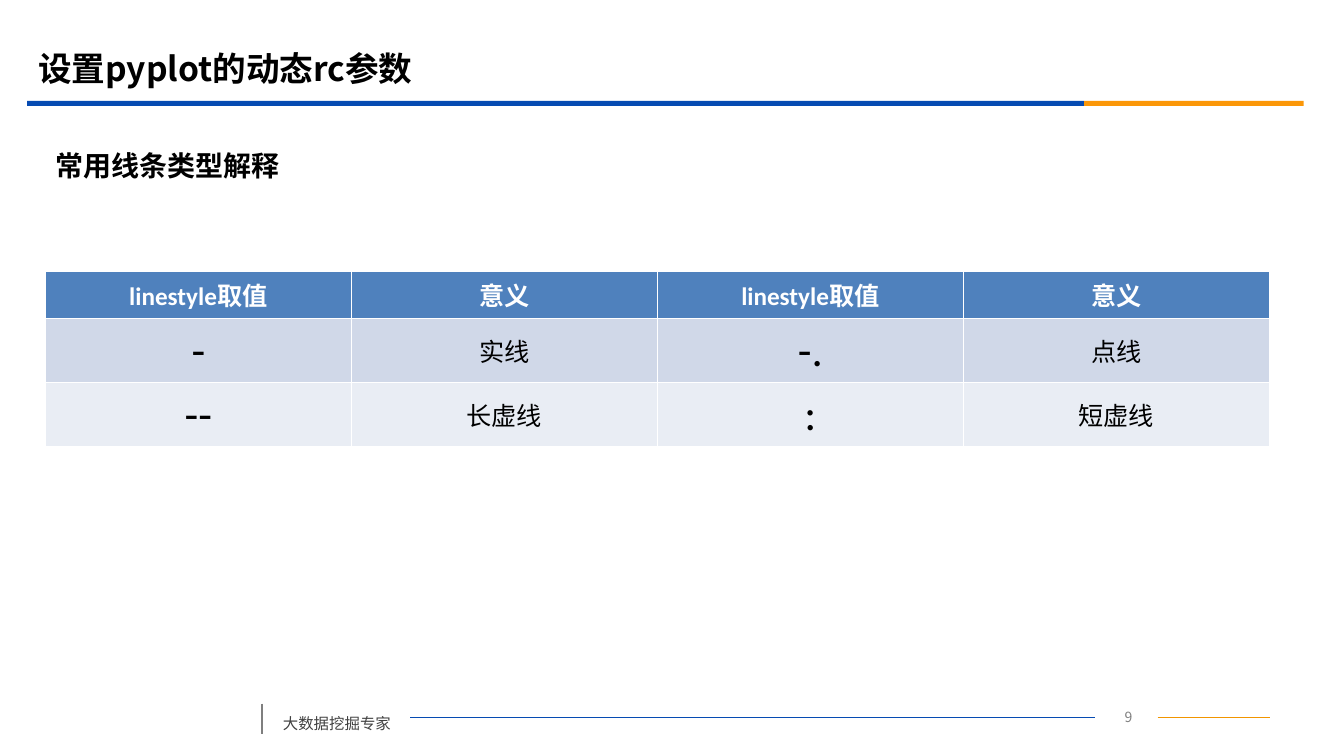
from lxml import etree
from pptx import Presentation
from pptx.dml.color import RGBColor as RGB
from pptx.enum.shapes import MSO_CONNECTOR as CONNECTOR, MSO_SHAPE as SHAPE
from pptx.enum.text import MSO_ANCHOR as ANCHOR, PP_ALIGN as ALIGN
from pptx.oxml.ns import qn
from pptx.util import Inches, Pt

COLORS = {
    "black": "000000", "white": "FFFFFF", "blue": "064BB2", "orange": "FB9708",
    "thin_orange": "F19500", "gray": "7F7F7F", "dark_gray": "404040",
    "header": "4F81BD", "band": "D0D8E8", "light_band": "E9EDF4",
}
CJK, LATIN = "Noto Sans CJK SC", "Calibri"
HEADER = [[("linestyle", LATIN), ("取值", CJK)], [("意义", CJK)]] * 2
STYLES = [("-", "实线", "-.", "点线"), ("--", "长虚线", ":", "短虚线")]


def color(name):
    """Return the named colour."""
    return RGB.from_string(COLORS[name])


def add_run(p, text, size, fill, name=CJK, bold=False):
    """Append a formatted run to a paragraph."""
    r = p.add_run()
    r.text = text
    for key, value in {"size": Pt(size), "bold": bold, "name": name}.items():
        setattr(r.font, key, value)
    r.font.color.rgb = color(fill)
    etree.SubElement(r.font._element, qn("a:ea"), typeface=CJK)


def fill_text(sp, text, size, fill, bold=False, align=ALIGN.LEFT, anchor=ANCHOR.MIDDLE):
    """Write one line of text into a shape."""
    tf = sp.text_frame
    for key, value in {"word_wrap": True, "vertical_anchor": anchor}.items():
        setattr(tf, key, value)
    p = tf.paragraphs[0]
    p.alignment = align
    add_run(p, text, size, fill, bold=bold)


def add_text(s, box, *args, **kwargs):
    """Add a text box with one line of text."""
    fill_text(s.shapes.add_textbox(*map(Inches, box)), *args, **kwargs)


def add_line(s, ends, stroke, width):
    """Add a straight line without shadow."""
    line = s.shapes.add_connector(CONNECTOR.STRAIGHT, *map(Inches, ends))
    line.line.color.rgb = color(stroke)
    line.line.width = Pt(width)
    etree.SubElement(line._element.spPr, qn("a:effectLst"))


def add_heading(s, x, y, w):
    """Place the title and the two-colour rule beneath it."""
    title = s.shapes.title
    box = {"left": x + 0.01, "top": y, "width": 12, "height": 0.58}
    for key, value in box.items():
        setattr(title, key, Inches(value))
    fill_text(title, "设置pyplot的动态rc参数", 24, "black", bold=True)
    blue_w = 10.49
    for left, width, fill in ((x, blue_w, "blue"), (x + blue_w, w - blue_w, "orange")):
        bar = s.shapes.add_shape(SHAPE.RECTANGLE, *map(Inches, (left, y + 0.61, width, 0.05)))
        bar.shadow.inherit = False
        bar.fill.solid()
        bar.fill.fore_color.rgb = color(fill)
        bar.line.fill.background()


def add_footer(s, x, y):
    """Place the footer label, page number and lines."""
    add_line(s, (x, y, x, y + 0.3), "gray", 1.25)
    add_text(s, (x + 0.11, y - 0.04, 1.36, 0.38), "大数据挖掘专家", 11, "dark_gray",
             anchor=ANCHOR.BOTTOM)
    mid = y + 0.14
    add_line(s, (x + 1.47, mid, x + 8.27, mid), "blue", 0.75)
    add_text(s, (x + 8.29, y + 0.01, 0.62, 0.25), "9", 10, "gray", align=ALIGN.CENTER)
    add_line(s, (x + 8.89, mid, x + 10.01, mid), "thin_orange", 0.75)


def set_borders(cell, top, bottom):
    """Give a cell white borders."""
    tc_pr = cell._tc.get_or_add_tcPr()
    widths = {"a:lnL": 0.45, "a:lnR": 0.45, "a:lnT": top, "a:lnB": bottom}
    for i, (tag, width) in enumerate(widths.items()):
        ln = etree.Element(qn(tag), w=str(Pt(width)))
        fill = etree.SubElement(ln, qn("a:solidFill"))
        etree.SubElement(fill, qn("a:srgbClr"), val=COLORS["white"])
        tc_pr.insert(i, ln)


def add_style_table(s, x, y, w):
    """Place the table of line styles."""
    heights = (0.47, 0.53, 0.53)
    fills = ("header", "band", "light_band")
    borders = ((0.45, 1.47), (1.47, 0.45), (0.45, 0.45))
    body = [[[(text, CJK if c % 2 else LATIN)] for c, text in enumerate(row)]
            for row in STYLES]
    table = s.shapes.add_table(3, 4, *map(Inches, (x, y, w, sum(heights)))).table
    for column in table.columns:
        column.width = Inches(w / 4)
    for r, row in enumerate([HEADER] + body):
        table.rows[r].height = Inches(heights[r])
        for c, runs in enumerate(row):
            cell = table.cell(r, c)
            margins = {"margin_left": 0.08, "margin_right": 0.08,
                       "margin_top": 0.05, "margin_bottom": 0.05}
            for key, value in margins.items():
                setattr(cell, key, Inches(value))
            cell.vertical_anchor = ANCHOR.MIDDLE
            cell.fill.solid()
            cell.fill.fore_color.rgb = color(fills[r])
            set_borders(cell, *borders[r])
            p = cell.text_frame.paragraphs[0]
            p.alignment = ALIGN.CENTER
            for text, name in runs:
                size = 32 if r and name == LATIN else 18
                add_run(p, text, size, "black" if r else "white", name, bold=r == 0)


def main():
    """Build and save the slide."""
    prs = Presentation()
    prs.slide_width, prs.slide_height = Inches(13.34), Inches(7.5)
    s = prs.slides.add_slide(prs.slide_layouts[5])
    add_heading(s, 0.27, 0.39, 12.67)
    add_text(s, (0.45, 1.41, 12.15, 0.47), "常用线条类型解释", 20, "black", bold=True)
    add_style_table(s, 0.45, 2.69, 12.15)
    add_footer(s, 2.6, 6.98)
    prs.save("out.pptx")


if __name__ == "__main__":
    main()
